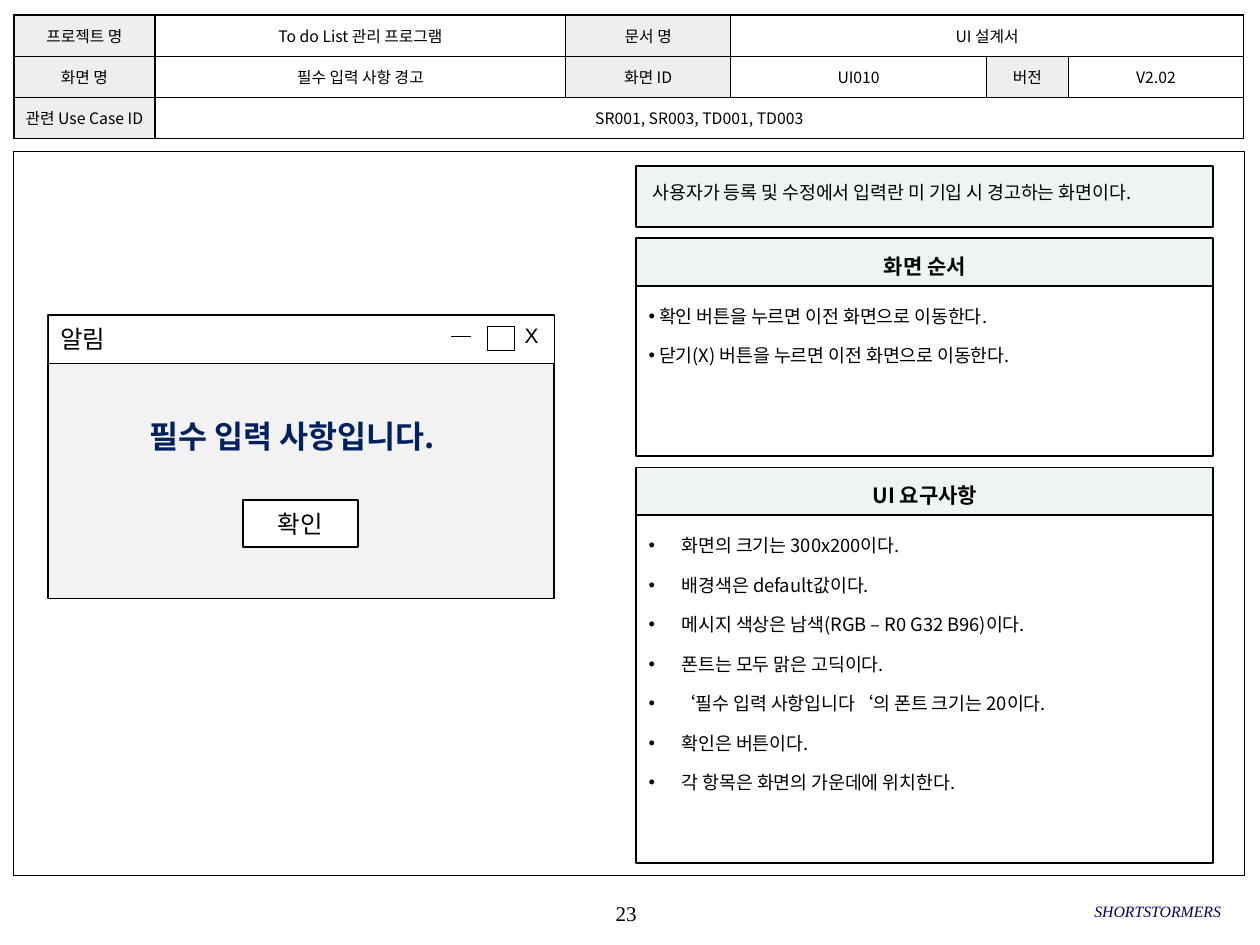
from lxml import etree
from pptx import Presentation
from pptx import util as u
from pptx.dml.color import RGBColor
from pptx.enum import shapes, text
from pptx.oxml.ns import qn

WIDE, HIGH = u.Inches(10), u.Inches(7.5)
COL, ROW = WIDE / 100, HIGH / 75
HUE = {"ink": "000000", "paper": "FFFFFF", "mint": "EEF4F4",
       "label": "EEEEEE", "gray": "F2F2F2", "navy": "002060", "brand": "000066"}
SANS, SERIF = "Noto Sans CJK KR", "Times New Roman"
LEFT, MID, RIGHT = text.PP_ALIGN.LEFT, text.PP_ALIGN.CENTER, text.PP_ALIGN.RIGHT
TOP, CORE = text.MSO_ANCHOR.TOP, text.MSO_ANCHOR.MIDDLE
SIDE, WIDTH, BAR, GAP = 50.5, 45.8, 3.8, 0.9


def tint(name):
    return RGBColor.from_string(HUE[name])


def place(x, y, w, h):
    return [round(n) for n in (x * COL, y * ROW, w * COL, h * ROW)]


def style(para, size, align=LEFT, face=SANS, color="ink", bold=False, italic=False):
    para.alignment = align
    for run in para.runs:
        font = run.font
        font.size, font.name, font.bold, font.italic = u.Pt(size), face, bold, italic
        font.color.rgb = tint(color)
        for tag in ("a:ea", "a:cs"):
            etree.SubElement(run._r.get_or_add_rPr(), qn(tag)).set("typeface", face)


def inset(frame, side, top, low, anchor):
    frame.margin_left = frame.margin_right = u.Inches(side)
    frame.margin_top, frame.margin_bottom = u.Inches(top), u.Inches(low)
    frame.vertical_anchor = anchor


def box(slide, area, fill=None, line=1):
    shape = slide.shapes.add_shape(shapes.MSO_SHAPE.RECTANGLE, *place(*area))
    shape.shadow.inherit = False
    if fill:
        shape.fill.solid()
        shape.fill.fore_color.rgb = tint(fill)
    else:
        shape.fill.background()
    if line:
        shape.line.color.rgb = tint("ink")
        shape.line.width = u.Pt(line)
    else:
        shape.line.fill.background()
    return shape


def write(shape, words, size, top=0.05, anchor=TOP, **look):
    frame = shape.text_frame
    frame.word_wrap = True
    inset(frame, 0.1, top, 0.05, anchor)
    frame.text = words
    style(frame.paragraphs[0], size, **look)


def label(slide, area, words, size, wrap=True, **look):
    frame = slide.shapes.add_textbox(*place(*area)).text_frame
    frame.word_wrap = wrap
    inset(frame, 0, 0, 0, CORE)
    frame.text = words
    style(frame.paragraphs[0], size, **look)


def bullets(shape, items, hang):
    frame = shape.text_frame
    frame.word_wrap = True
    inset(frame, 0.1, 0.15, 0.05, TOP)
    frame.text = "\n".join(items)
    for i, para in enumerate(frame.paragraphs):
        props = para._p.get_or_add_pPr()
        props.set("marL", str(u.Inches(hang)))
        props.set("indent", str(-u.Inches(hang)))
        etree.SubElement(props, qn("a:buFont")).set("typeface", "Arial")
        etree.SubElement(props, qn("a:buChar")).set("char", "•")
        para.space_before = u.Pt(10 if i else 0)
        style(para, 10.5)


def panel(slide, top, high, title, items, hang):
    head = box(slide, (SIDE, top, WIDTH, BAR), "mint")
    write(head, title, 12, top=0.12, align=MID, bold=True)
    body = box(slide, (SIDE, top + BAR, WIDTH, high - BAR), "paper")
    bullets(body, items, hang)


def border(cell):
    props = cell._tc.get_or_add_tcPr()
    for i, side in enumerate(("lnL", "lnR", "lnT", "lnB")):
        line = etree.Element(qn("a:" + side), w=str(u.Pt(1)))
        fill = etree.SubElement(line, qn("a:solidFill"))
        etree.SubElement(fill, qn("a:srgbClr")).set("val", HUE["ink"])
        props.insert(i, line)


def header(slide):
    cols = [11.2, 32.6, 13.1, 20.3, 6.5, 13.9]
    rows = [["프로젝트 명", "To do List 관리 프로그램", "문서 명", "UI 설계서"],
            ["화면 명", "필수 입력 사항 경고", "화면 ID", "UI010", "버전", "V2.02"],
            ["관련 Use Case ID", "SR001, SR003, TD001, TD003"]]
    area = place(1.1, 1.2, sum(cols), 9.8)
    grid = slide.shapes.add_table(len(rows), len(cols), *area).table
    for col, wide in zip(grid.columns, cols):
        col.width = round(wide * COL)
    for r, row in enumerate(rows):
        for c in range(len(cols)):
            cell = grid.cell(r, c)
            inset(cell, 0.04, 0.02, 0.02, CORE)
            cell.fill.solid()
            marked = c < len(row) and c % 2 == 0
            cell.fill.fore_color.rgb = tint("label" if marked else "paper")
            border(cell)
            if c < len(row):
                cell.text = row[c]
                style(cell.text_frame.paragraphs[0], 9, align=MID)
        if len(row) < len(cols):
            grid.cell(r, len(row) - 1).merge(grid.cell(r, len(cols) - 1))


def dash(slide, x, y, end):
    line = slide.shapes.add_connector(
        shapes.MSO_CONNECTOR.STRAIGHT, *place(x, y, end, y))
    line.line.color.rgb = tint("ink")
    line.line.width = u.Pt(0.25)
    etree.SubElement(line._element.spPr, qn("a:effectLst"))


def alert(slide):
    x, y, wide = 3.8, 25, 40.2
    box(slide, (x, y, wide, 22.5), "gray")
    note = box(slide, (10.9, 32.6, 28.1, 4), "gray", None)
    write(note, "필수 입력 사항입니다.", 18, color="navy", bold=True)
    bar = box(slide, (x, y, wide, BAR), "paper", 0.25)
    write(bar, "알림", 14, anchor=CORE)
    label(slide, (41.3, 25.1, 1.8, 3), "X", 12, wrap=False, align=MID, face="Arial")
    box(slide, (38.7, 25.9, 2.1, 1.9), "paper", 0.25)
    dash(slide, 37.4, 26.7, 35.8)
    key = box(slide, (19.3, 39.7, 9.1, 3.7), "paper")
    write(key, "확인", 14, anchor=CORE, align=MID)


def main():
    deck = Presentation()
    deck.slide_width, deck.slide_height = WIDE, HIGH
    slide = deck.slides.add_slide(deck.slide_layouts[6])
    label(slide, (39.3, 70.8, 20.8, 3.3), "23", 12, align=MID, face=SERIF)
    box(slide, (1.1, 12, 97.7, 57.5), line=0.75)
    brief = box(slide, (SIDE, 13.2, WIDTH, 4.8), "mint")
    write(brief, " 사용자가 등록 및 수정에서 입력란 미 기입 시 경고하는 화면이다.", 10.5, top=0.12)
    flow = [" 확인 버튼을 누르면 이전 화면으로 이동한다.",
            " 닫기(X) 버튼을 누르면 이전 화면으로 이동한다."]
    needs = [" 화면의 크기는 300x200이다.",
             " 배경색은 default값이다.",
             " 메시지 색상은 남색(RGB – R0 G32 B96)이다.",
             " 폰트는 모두 맑은 고딕이다.",
             "‘필수 입력 사항입니다‘의 폰트 크기는 20이다.",
             " 확인은 버튼이다.",
             " 각 항목은 화면의 가운데에 위치한다."]
    top, high = 18.9, 17.3
    panel(slide, top, high, "화면 순서", flow, 0.05)
    panel(slide, top + high + GAP, 31.4, "UI 요구사항", needs, 0.23)
    header(slide)
    alert(slide)
    label(slide, (66.3, 70.7, 30.6, 3.3), "SHORTSTORMERS", 9,
          align=RIGHT, face=SERIF, color="brand", italic=True)
    deck.save("out.pptx")


if __name__ == "__main__":
    main()
